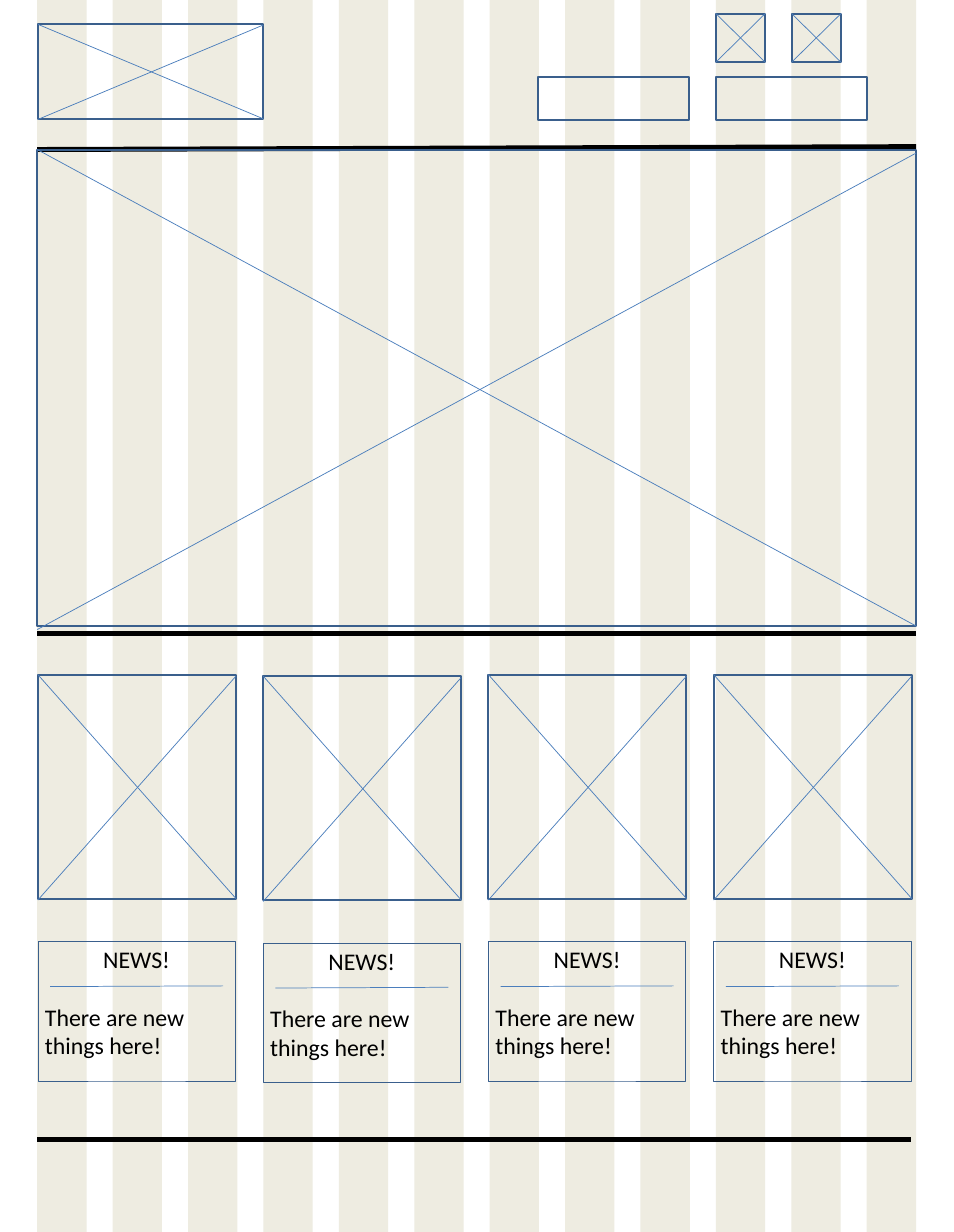
from dataclasses import dataclass

from lxml.etree import SubElement
from pptx import Presentation
from pptx.dml.color import RGBColor
from pptx.enum.shapes import MSO_CONNECTOR, MSO_SHAPE
from pptx.enum.text import MSO_ANCHOR, MSO_AUTO_SIZE, PP_ALIGN
from pptx.oxml.ns import qn
from pptx.shapes.autoshape import Shape
from pptx.shapes.shapetree import GroupShapes, SlideShapes
from pptx.util import Inches, Pt

STRIPE_BEIGE = RGBColor(0xEE, 0xEC, 0xE1)
OUTLINE_BLUE = RGBColor(0x3A, 0x5F, 0x8C)
LINE_BLUE = RGBColor(0x4B, 0x7E, 0xBC)
BLACK = RGBColor(0, 0, 0)

SLIDE_WIDTH, SLIDE_HEIGHT = 13.34, 17.22
MARGIN = 0.52
STRIPE_COUNT, STRIPE_WIDTH = 12, 0.69
STRIPE_PITCH = (12.12 - MARGIN) / (STRIPE_COUNT - 1)
CARD_LEFT, CARD_PITCH = 0.53, 3.15
THIN, MEDIUM, THICK = 0.75, 2, 5

FRAME_FORMAT = {
    "word_wrap": True,
    "auto_size": MSO_AUTO_SIZE.NONE,
    "vertical_anchor": MSO_ANCHOR.TOP,
}
HEADING_FORMAT = {"alignment": PP_ALIGN.CENTER}
BODY_FORMAT = {"alignment": PP_ALIGN.LEFT, "space_before": Pt(29)}
FONT_FORMAT = {"name": "Calibri", "size": Pt(24)}

Shapes = SlideShapes | GroupShapes


@dataclass(frozen=True)
class Box:
    left: float
    top: float
    width: float
    height: float


@dataclass(frozen=True)
class Placeholder:
    box: Box
    drop: float = 0  # how far the rising diagonal sits below the box


@dataclass(frozen=True)
class Rule:
    left: float
    top: float
    right: float
    bottom: float


LOGO_AREA = Placeholder(Box(0.53, 0.34, 3.15, 1.32), 0.01)
HERO_AREA = Placeholder(Box(MARGIN, 2.09, 12.29, 6.66), 0.05)
ICONS = [Placeholder(Box(left, 0.19, STRIPE_WIDTH, 0.68)) for left in (10.01, 11.07)]
BUTTONS = [Box(left, 1.07, 2.11, 0.61) for left in (7.53, 10.01)]
SECTION_RULES = [
    Rule(MARGIN, 2.09, 12.81, 2.05),
    Rule(MARGIN, 8.85, 12.81, 8.85),
    Rule(MARGIN, 15.93, 12.74, 15.93),
]
CARD_TOPS = [9.43, 9.45, 9.43, 9.43]


def set_attributes(target: object, values: dict[str, object]) -> None:
    for name, value in values.items():
        setattr(target, name, value)


def add_rectangle(shapes: Shapes, box: Box) -> Shape:
    shape = shapes.add_shape(
        MSO_SHAPE.RECTANGLE,
        Inches(box.left), Inches(box.top), Inches(box.width), Inches(box.height),
    )
    shape.shadow.inherit = False
    return shape


def add_outline(shapes: Shapes, box: Box, weight: float = MEDIUM) -> Shape:
    shape = add_rectangle(shapes, box)
    shape.fill.background()
    shape.line.color.rgb = OUTLINE_BLUE
    shape.line.width = Pt(weight)
    return shape


def add_rule(shapes: Shapes, rule: Rule, color: RGBColor = LINE_BLUE,
             weight: float = THIN) -> None:
    connector = shapes.add_connector(
        MSO_CONNECTOR.STRAIGHT,
        Inches(rule.left), Inches(rule.top), Inches(rule.right), Inches(rule.bottom),
    )
    connector.line.color.rgb = color
    connector.line.width = Pt(weight)
    SubElement(connector.element.spPr, qn("a:effectLst"))


def add_placeholder(shapes: Shapes, placeholder: Placeholder) -> None:
    box, drop = placeholder.box, placeholder.drop
    right, bottom = box.left + box.width, box.top + box.height
    add_outline(shapes, box)
    add_rule(shapes, Rule(box.left, box.top, right, bottom))
    add_rule(shapes, Rule(right, box.top + drop, box.left, bottom + drop))


def add_news_text(shape: Shape) -> None:
    frame = shape.text_frame
    set_attributes(frame, FRAME_FORMAT)
    frame.text = "NEWS!\nThere are new things here!"
    for paragraph, values in zip(frame.paragraphs, (HEADING_FORMAT, BODY_FORMAT)):
        set_attributes(paragraph, values)
        set_attributes(paragraph.font, FONT_FORMAT)
        paragraph.font.color.rgb = BLACK


def add_news_card(shapes: Shapes, left: float, top: float) -> None:
    add_placeholder(shapes, Placeholder(Box(left, top, 2.77, 3.13), 0.02))
    news_top = top + 3.73
    add_news_text(add_outline(shapes, Box(left, news_top, 2.76, 1.95), THIN))
    add_rule(shapes, Rule(left + 0.17, news_top + 0.63, left + 2.59, news_top + 0.62))


def main() -> None:
    presentation = Presentation()
    presentation.slide_width = Inches(SLIDE_WIDTH)
    presentation.slide_height = Inches(SLIDE_HEIGHT)
    slide = presentation.slides.add_slide(presentation.slide_layouts[6])

    # Column grid
    grid = slide.shapes.add_group_shape()
    for index in range(STRIPE_COUNT):
        left = MARGIN + index * STRIPE_PITCH
        stripe = add_rectangle(grid.shapes, Box(left, 0, STRIPE_WIDTH, SLIDE_HEIGHT))
        stripe.fill.solid()
        stripe.fill.fore_color.rgb = STRIPE_BEIGE
        stripe.line.fill.background()

    # Section rules
    for rule in SECTION_RULES:
        add_rule(slide.shapes, rule, BLACK, THICK)

    # Header and hero area
    for placeholder in (LOGO_AREA, HERO_AREA, *ICONS):
        add_placeholder(slide.shapes.add_group_shape().shapes, placeholder)
    for button in BUTTONS:
        add_outline(slide.shapes, button)

    # News cards
    for index, top in enumerate(CARD_TOPS):
        card = slide.shapes.add_group_shape()
        add_news_card(card.shapes, CARD_LEFT + index * CARD_PITCH, top)

    presentation.save("out.pptx")


if __name__ == "__main__":
    main()
